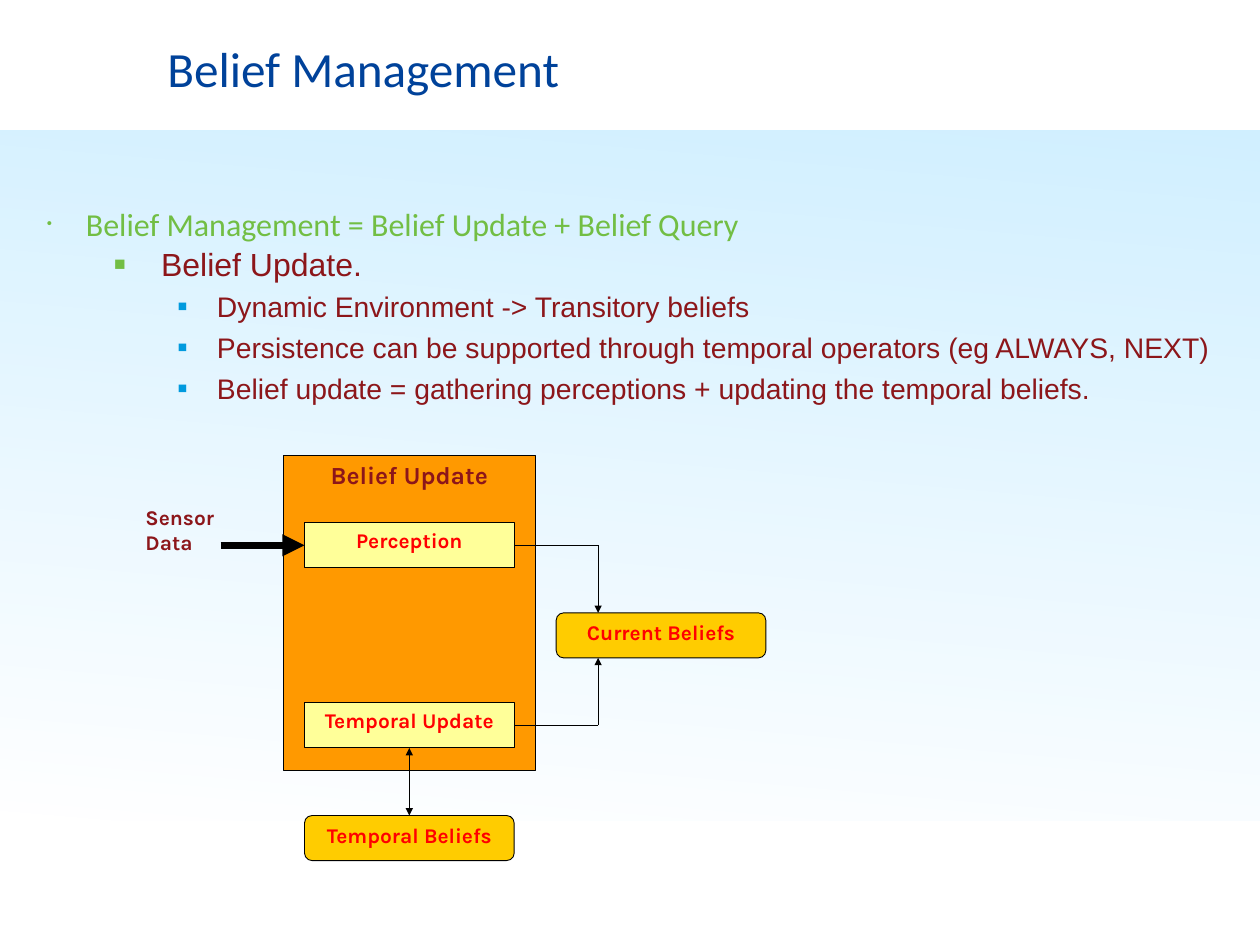
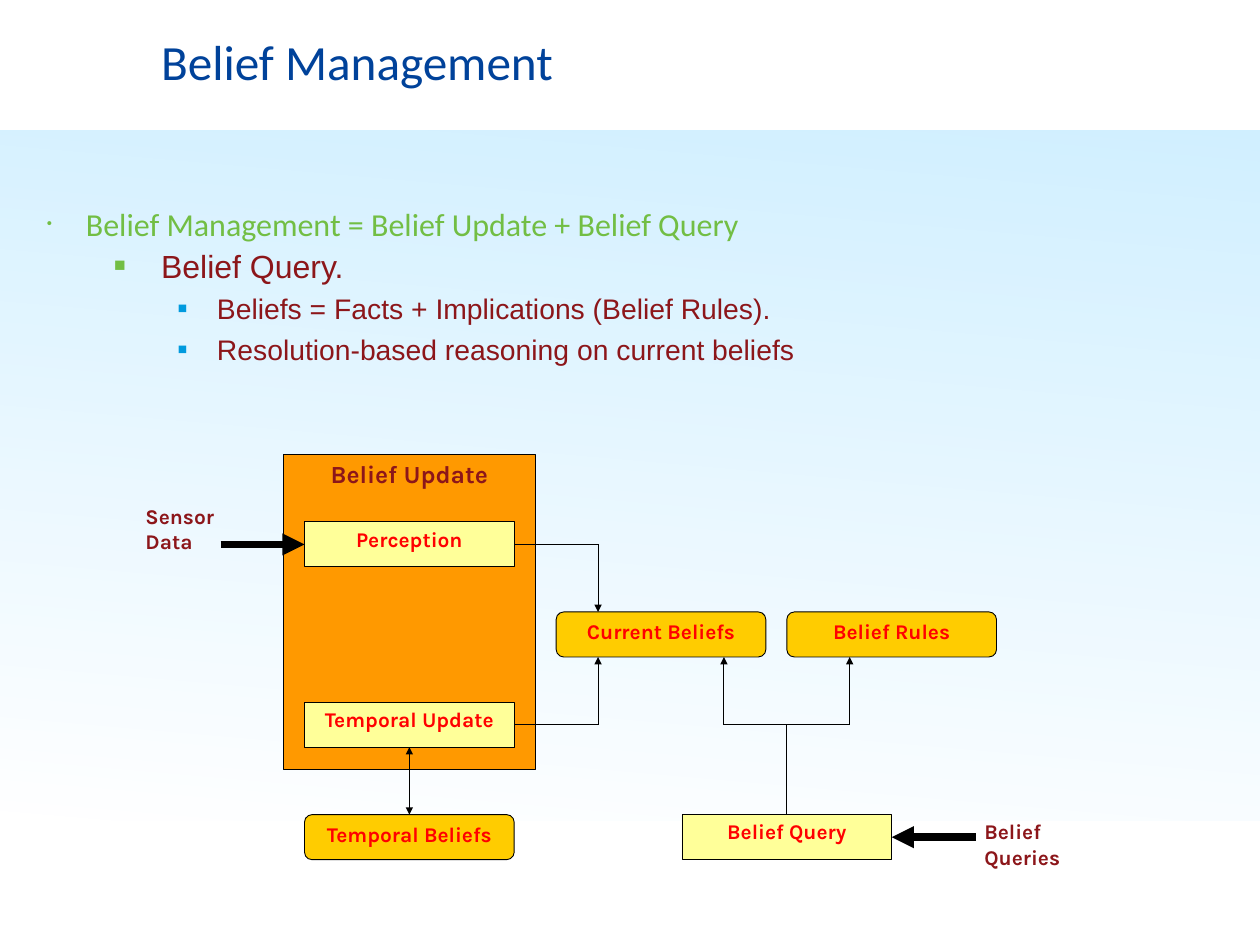
from lxml import etree
from pptx import Presentation
from pptx.dml.color import RGBColor
from pptx.enum.shapes import MSO_CONNECTOR, MSO_SHAPE
from pptx.enum.text import MSO_ANCHOR, PP_ALIGN
from pptx.oxml.ns import qn
from pptx.util import Inches, Pt

RECT = MSO_SHAPE.RECTANGLE
ROUNDED = MSO_SHAPE.ROUNDED_RECTANGLE
STRAIGHT = MSO_CONNECTOR.STRAIGHT
TOP = MSO_ANCHOR.TOP
LEFT, CENTER, JUSTIFY = PP_ALIGN.LEFT, PP_ALIGN.CENTER, PP_ALIGN.JUSTIFY

WHITE = RGBColor(0xFF, 0xFF, 0xFF)
BLACK = RGBColor(0x00, 0x00, 0x00)
SKY = RGBColor(0x66, 0xCC, 0xFF)
NAVY = RGBColor(0x00, 0x42, 0x9A)
GREEN = RGBColor(0x72, 0xBE, 0x44)
BLUE = RGBColor(0x00, 0x9A, 0xDE)
MAROON = RGBColor(0x8C, 0x16, 0x1A)
RED = RGBColor(0xFF, 0x00, 0x00)
ORANGE = RGBColor(0xFF, 0x99, 0x00)
YELLOW = RGBColor(0xFF, 0xFF, 0x99)
GOLD = RGBColor(0xFF, 0xCC, 0x00)

HEADING_FONT, BODY_FONT, DIAGRAM_FONT = "Calibri", "Arial", "Karla"
SLIDE_WIDTH, SLIDE_HEIGHT = 14.22, 10.67
HEADING_INSET, BODY_INSETS = 0.06, (0.1, 0.05)
COLUMN, ROW = 2.84 / 12, 3.56 / 14
DIAGRAM_LEFT = 3.2
NODE_COLUMNS, NODE_ROWS = 10, 2
THIN, THICK = 0.75, 6


def style(paragraph, font, size, color, bold=False, align=LEFT):
    paragraph.alignment = align
    paragraph.font.name = font
    paragraph.font.size = Pt(size)
    paragraph.font.bold = bold
    paragraph.font.color.rgb = color


def add_bullet(paragraph, char, percent, color, margin, hanging):
    properties = paragraph._p.get_or_add_pPr()
    properties.set("marL", str(Inches(margin)))
    properties.set("indent", str(-Inches(hanging)))
    bullet_color = etree.SubElement(properties, qn("a:buClr"))
    etree.SubElement(bullet_color, qn("a:srgbClr"), val=str(color))
    etree.SubElement(properties, qn("a:buSzPct"), val=str(percent * 1000))
    etree.SubElement(properties, qn("a:buFont"), typeface=BODY_FONT)
    etree.SubElement(properties, qn("a:buChar"), char=char)


def add_text_box(slide, left, top, width, height, insets=BODY_INSETS):
    box = slide.shapes.add_textbox(
        Inches(left), Inches(top), Inches(width), Inches(height))
    frame = box.text_frame
    frame.word_wrap = True
    frame.vertical_anchor = TOP
    frame.margin_left = frame.margin_right = Inches(insets[0])
    frame.margin_top = frame.margin_bottom = Inches(insets[1])
    return frame


def add_background(slide):
    band = slide.shapes.add_shape(
        RECT, 0, Inches(1.47), Inches(SLIDE_WIDTH), Inches(7.8))
    band.shadow.inherit = False
    band.line.fill.background()
    band.fill.gradient()
    band.fill.gradient_angle = 265
    for stop, color in zip(band.fill.gradient_stops, (SKY, WHITE)):
        stop.color.rgb = color
    for color in band._element.iter(qn("a:srgbClr")):
        etree.SubElement(color, qn("a:alpha"), val="30000")


def add_heading(slide, left, top):
    insets = (HEADING_INSET, HEADING_INSET)
    title = add_text_box(slide, left, top, 11.53, 1.65, insets).paragraphs[0]
    title.text = "Belief Management"
    style(title, HEADING_FONT, 40, NAVY)
    summary = add_text_box(slide, 0.47, 2.25, 13.27, 0.9, insets).paragraphs[0]
    summary.text = "Belief Management = Belief Update + Belief Query"
    add_bullet(summary, "•", 46, GREEN, 0.44, 0.44)
    style(summary, HEADING_FONT, 26, GREEN)


def add_outline(slide, top, height, topic, points):
    frame = add_text_box(slide, 1.19, top, 12.75, height)
    heading = frame.paragraphs[0]
    heading.text = topic
    add_bullet(heading, "■", 60, GREEN, 0.53, 0.53)
    style(heading, BODY_FONT, 26, MAROON)
    for point in points:
        paragraph = frame.add_paragraph()
        paragraph.text = point
        paragraph.level = 1
        add_bullet(paragraph, "■", 55, BLUE, 1.16, 0.44)
        paragraph.space_before = Pt(5.5)
        style(paragraph, BODY_FONT, 23, MAROON)


class Diagram:
    def __init__(self, slide, left, top):
        self.slide, self.left, self.top = slide, left, top

    def x(self, column):
        return Inches(self.left + column * COLUMN)

    def y(self, row):
        return Inches(self.top + row * ROW)

    def block(self, text, column, row, columns, rows, kind, fill, size, color):
        block = self.slide.shapes.add_shape(
            kind, self.x(column), self.y(row),
            Inches(columns * COLUMN), Inches(rows * ROW))
        block.shadow.inherit = False
        block.fill.solid()
        block.fill.fore_color.rgb = fill
        block.line.color.rgb = BLACK
        block.line.width = Pt(THIN)
        block.text_frame.word_wrap = True
        block.text_frame.vertical_anchor = TOP
        caption = block.text_frame.paragraphs[0]
        caption.text = text
        style(caption, DIAGRAM_FONT, size, color, True, CENTER)

    def process(self, text, column, row):
        self.block(text, column, row, NODE_COLUMNS, NODE_ROWS,
                   RECT, YELLOW, 17, RED)

    def store(self, text, column, row):
        self.block(text, column, row, NODE_COLUMNS, NODE_ROWS,
                   ROUNDED, GOLD, 17, RED)

    def label(self, text, column, row):
        frame = add_text_box(
            self.slide, self.left + column * COLUMN, self.top + row * ROW,
            6 * COLUMN, 3 * ROW)
        frame.paragraphs[0].text = text
        style(frame.paragraphs[0], DIAGRAM_FONT, 17, MAROON, True, JUSTIFY)

    def line(self, start, end, ends=(), width=THIN):
        line = self.slide.shapes.add_connector(
            STRAIGHT, self.x(start[0]), self.y(start[1]),
            self.x(end[0]), self.y(end[1]))
        line.line.color.rgb = BLACK
        line.line.width = Pt(width)
        outline = line.line._get_or_add_ln()
        for tag in ends:
            etree.SubElement(outline, qn(tag), type="triangle")
        etree.SubElement(line._element.spPr, qn("a:effectLst"))

    def arrow(self, start, end, width=THIN):
        self.line(start, end, ("a:tailEnd",), width)


def add_update_diagram(diagram):
    diagram.block("Belief Update", 0, 0, 12, 14, RECT, ORANGE, 20, MAROON)
    diagram.process("Perception", 1, 3)
    diagram.process("Temporal Update", 1, 11)
    diagram.store("Current Beliefs", 13, 7)
    diagram.store("Temporal Beliefs", 1, 16)
    for source_row, target_row in ((4, 7), (12, 9)):
        diagram.line((11, source_row), (15, source_row))
        diagram.arrow((15, source_row), (15, target_row))
    diagram.line((6, 16), (6, 13), ("a:headEnd", "a:tailEnd"))
    diagram.arrow((-3, 4), (1, 4), THICK)
    diagram.label("Sensor Data", -7, 2)


def add_query_diagram(diagram):
    diagram.store("Belief Rules", 24, 7)
    diagram.process("Belief Query", 19, 16)
    for column in (21, 27):
        diagram.arrow((column, 12), (column, 9))
    diagram.line((21, 12), (27, 12))
    diagram.line((24, 16), (24, 12))
    diagram.arrow((33, 17), (29, 17), THICK)
    diagram.label("Belief Queries", 33, 16)


def add_update_slide(slide):
    add_background(slide)
    add_heading(slide, 1.83, 0.37)
    add_update_diagram(Diagram(slide, DIAGRAM_LEFT, 5.14))
    add_outline(slide, 2.71, 2.37, "Belief Update.", (
        "Dynamic Environment -> Transitory beliefs",
        "Persistence can be supported through temporal operators (eg ALWAYS, NEXT)",
        "Belief update = gathering perceptions + updating the temporal beliefs.",
    ))


def add_query_slide(slide):
    add_background(slide)
    add_heading(slide, 1.76, 0.29)
    diagram = Diagram(slide, DIAGRAM_LEFT, 5.13)
    add_update_diagram(diagram)
    add_query_diagram(diagram)
    add_outline(slide, 2.73, 1.98, "Belief Query.", (
        "Beliefs = Facts + Implications (Belief Rules).",
        "Resolution-based reasoning on current beliefs",
    ))


def main():
    presentation = Presentation()
    presentation.slide_width = Inches(SLIDE_WIDTH)
    presentation.slide_height = Inches(SLIDE_HEIGHT)
    blank = presentation.slide_layouts[6]
    for build in (add_update_slide, add_query_slide):
        build(presentation.slides.add_slide(blank))
    presentation.save("out.pptx")


if __name__ == "__main__":
    main()
